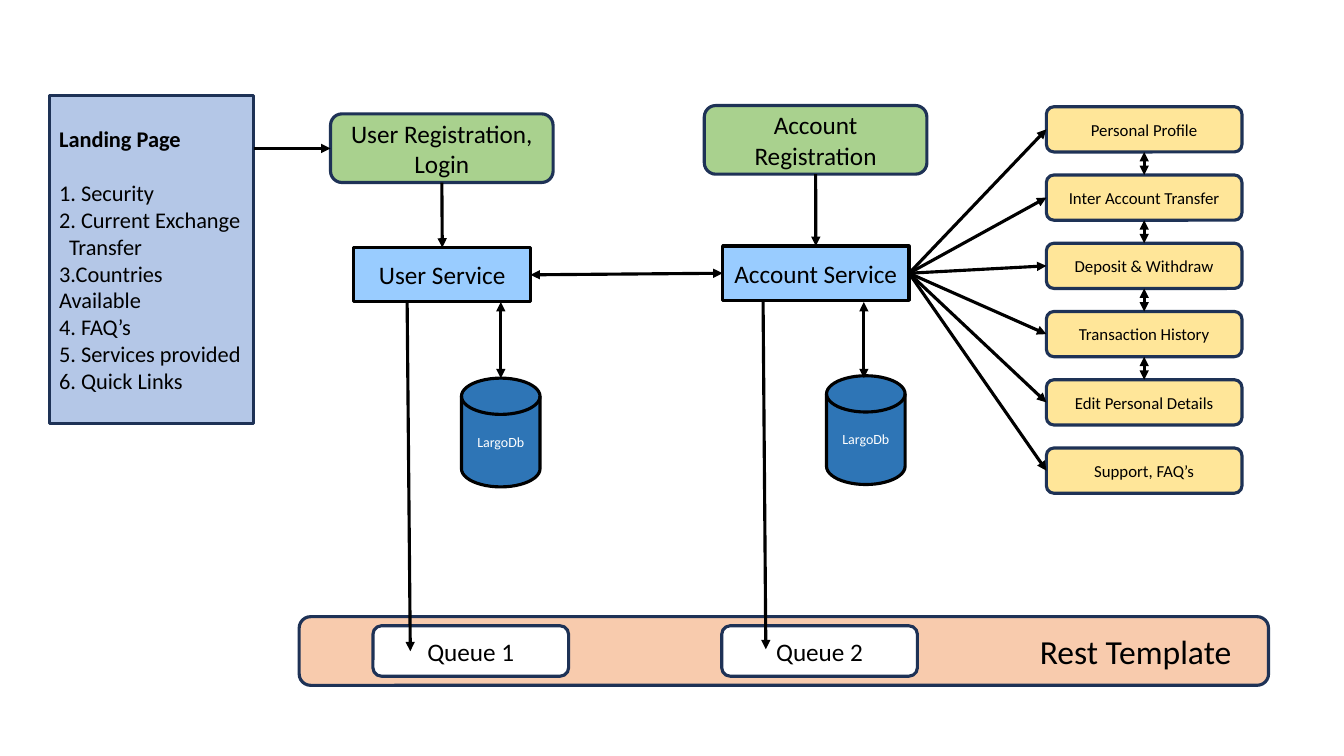
from lxml.etree import SubElement
from pptx import Presentation
from pptx.dml.color import RGBColor
from pptx.enum.shapes import MSO_CONNECTOR, MSO_SHAPE as SHAPE
from pptx.enum.text import MSO_ANCHOR, PP_ALIGN as ALIGN
from pptx.oxml.ns import qn
from pptx.util import Cm, Pt

BLACK = RGBColor(0x00, 0x00, 0x00)
WHITE = RGBColor(0xFF, 0xFF, 0xFF)
NAVY = RGBColor(0x1E, 0x32, 0x56)
PEACH = RGBColor(0xF8, 0xCB, 0xAD)
GREEN = RGBColor(0xA9, 0xD1, 0x8E)
SKY = RGBColor(0x99, 0xCC, 0xFF)
LAVENDER = RGBColor(0xB4, 0xC7, 0xE7)
BLUE = RGBColor(0x2E, 0x75, 0xB6)
YELLOW = RGBColor(0xFF, 0xE6, 0x99)
LINE_WIDTH = Pt(2.25)
TOP, LEFT, BOTTOM, RIGHT = range(4)  # connection sites of a rectangle

deck = Presentation()
deck.slide_width, deck.slide_height = Cm(33.87), Cm(19.05)
slide = deck.slides.add_slide(deck.slide_layouts[6])


def write(frame, text, size=18, color=BLACK, align=ALIGN.CENTER):
    frame.word_wrap = True
    frame.vertical_anchor = MSO_ANCHOR.MIDDLE
    frame.text = text
    for paragraph in frame.paragraphs:
        paragraph.alignment = align
        paragraph.font.name = "Calibri"
        paragraph.font.size = Pt(size)
        paragraph.font.color.rgb = color


def add_box(kind, place, fill, border, text, **text_format):
    box = slide.shapes.add_shape(kind, *(Cm(length) for length in place))
    box.shadow.inherit = False
    box.fill.solid()
    box.fill.fore_color.rgb = fill
    box.line.color.rgb = border
    box.line.width = LINE_WIDTH
    write(box.text_frame, text, **text_format)
    return box


# Rest template band with its two queues
rest_template = add_box(SHAPE.ROUNDED_RECTANGLE, (7.54, 15.54, 24.43, 1.73), PEACH, NAVY,
                        "Rest Template", size=24, align=ALIGN.RIGHT)
rest_template.text_frame.margin_right = Cm(0.85)
for number, left in enumerate((9.4, 18.19), start=1):
    add_box(SHAPE.ROUNDED_RECTANGLE, (left, 15.77, 4.93, 1.27), WHITE, NAVY, f"Queue {number}")

# Landing page
landing_text = "\n".join((
    "Landing Page", "1. Security", "2. Current Exchange Transfer", "3.Countries Available",
    "4. FAQ’s", "5. Services provided", "6. Quick Links"))
landing_page = add_box(SHAPE.FLOWCHART_PROCESS, (1.24, 2.41, 5.16, 8.26), LAVENDER, NAVY,
                       landing_text, size=16, align=ALIGN.LEFT)
heading, _, exchange, *_ = landing_page.text_frame.paragraphs
heading.font.bold = True
heading.space_after = Pt(19.5)
hanging = exchange._p.get_or_add_pPr()
hanging.set("marL", str(Cm(0.25)))
hanging.set("indent", str(-Cm(0.25)))

# Registrations, services and databases
user_registration = add_box(SHAPE.ROUNDED_RECTANGLE, (8.33, 2.87, 5.61, 1.73), GREEN, NAVY,
                            "User Registration,\nLogin")
account_registration = add_box(SHAPE.ROUNDED_RECTANGLE, (17.75, 2.66, 5.61, 1.73), GREEN, NAVY,
                               "Account Registration")
user_service = add_box(SHAPE.RECTANGLE, (8.92, 6.24, 4.45, 1.37), SKY, BLACK, "User Service")
account_service = add_box(SHAPE.RECTANGLE, (18.21, 6.2, 4.7, 1.37), SKY, BLACK,
                          "Account Service")
for left, top in ((11.63, 9.53), (20.83, 9.47)):
    add_box(SHAPE.FLOWCHART_MAGNETIC_DISK, (left, top, 1.98, 2.74), BLUE, BLACK,
            "LargoDb", size=10, color=WHITE)

# Account options, evenly stacked
option_names = ("Personal Profile", "Inter Account Transfer", "Deposit & Withdraw",
                "Transaction History", "Edit Personal Details", "Support, FAQ’s")
options = [add_box(SHAPE.ROUNDED_RECTANGLE, (26.37, 2.69 + 1.72 * row, 4.93, 1.14),
                   YELLOW, NAVY, name, size=12)
           for row, name in enumerate(option_names)]

# Arrows between boxes: start, site, end, site, two-way
links = [
    (user_registration, BOTTOM, user_service, TOP, False),
    (account_registration, BOTTOM, account_service, TOP, False),
    (account_service, LEFT, user_service, RIGHT, True),
]
links += [(account_service, RIGHT, option, LEFT, False) for option in options]
links += [(upper, BOTTOM, lower, TOP, True) for upper, lower in zip(options[:4], options[1:5])]
arrows = []
for start, start_site, end, end_site, two_way in links:
    arrow = slide.shapes.add_connector(MSO_CONNECTOR.STRAIGHT, 0, 0, 0, 0)
    arrow.begin_connect(start, start_site)
    arrow.end_connect(end, end_site)
    arrows.append((arrow, two_way))

# Arrows between points away from the sites: x1, y1, x2, y2, two-way
routes = (
    (6.4, 3.74, 8.33, 3.74, False),      # landing page to registration
    (10.26, 7.61, 10.34, 16.41, False),  # user service to queue 1
    (19.23, 7.57, 19.3, 16.36, False),   # account service to queue 2
    (12.62, 7.61, 12.62, 9.53, True),    # user service and database
    (21.77, 7.61, 21.77, 9.53, True),    # account service and database
)
for *points, two_way in routes:
    arrow = slide.shapes.add_connector(MSO_CONNECTOR.STRAIGHT, *(Cm(point) for point in points))
    arrows.append((arrow, two_way))

# Arrow style
for arrow, two_way in arrows:
    arrow.line.color.rgb = BLACK
    arrow.line.width = LINE_WIDTH
    properties = arrow._element.spPr
    stroke = properties.find(qn("a:ln"))
    if two_way:
        SubElement(stroke, qn("a:headEnd"), type="triangle")
    SubElement(stroke, qn("a:tailEnd"), type="triangle")
    SubElement(properties, qn("a:effectLst"))

deck.save("out.pptx")
